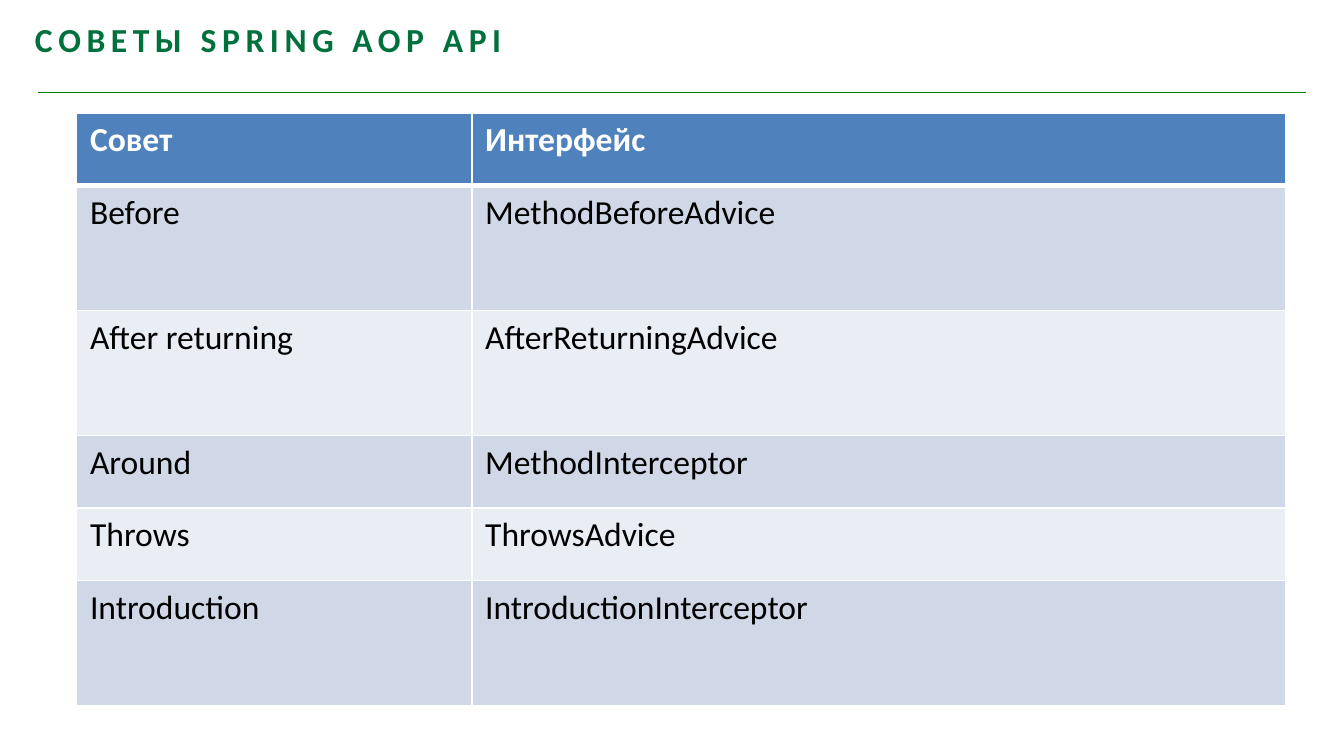
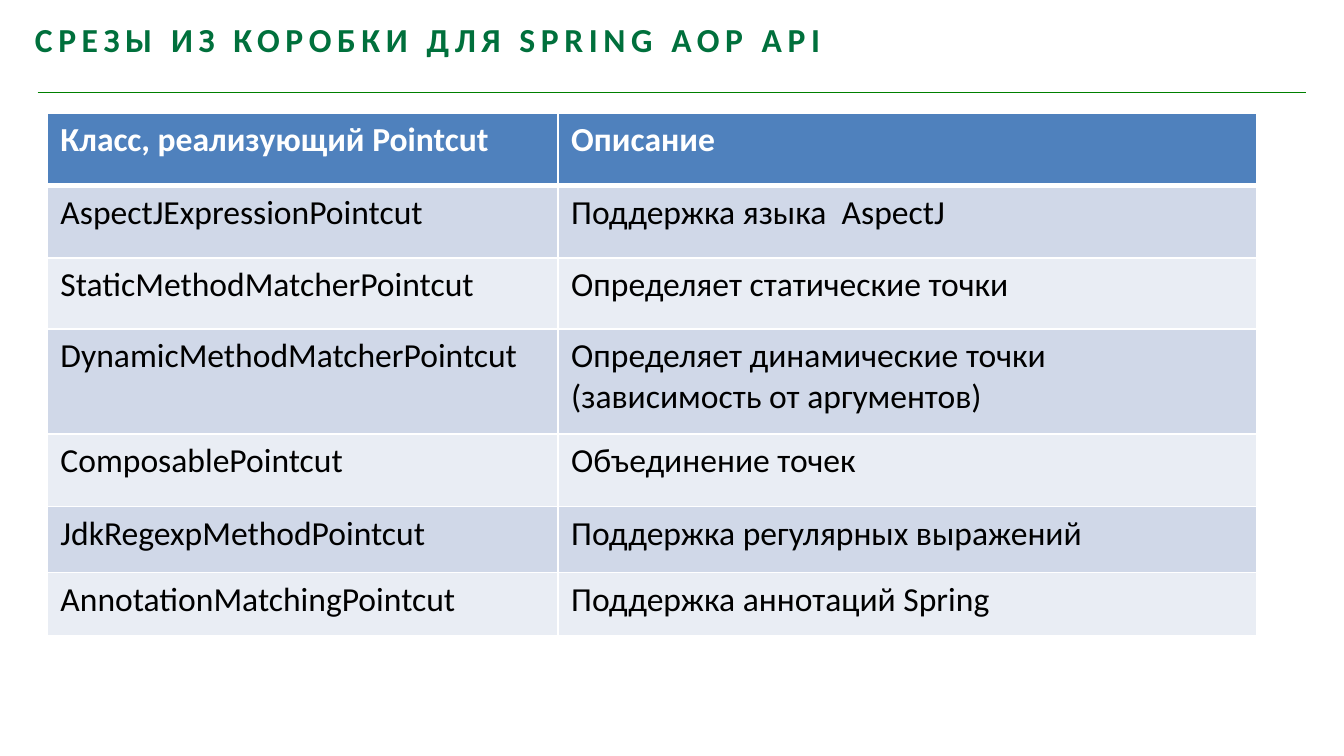
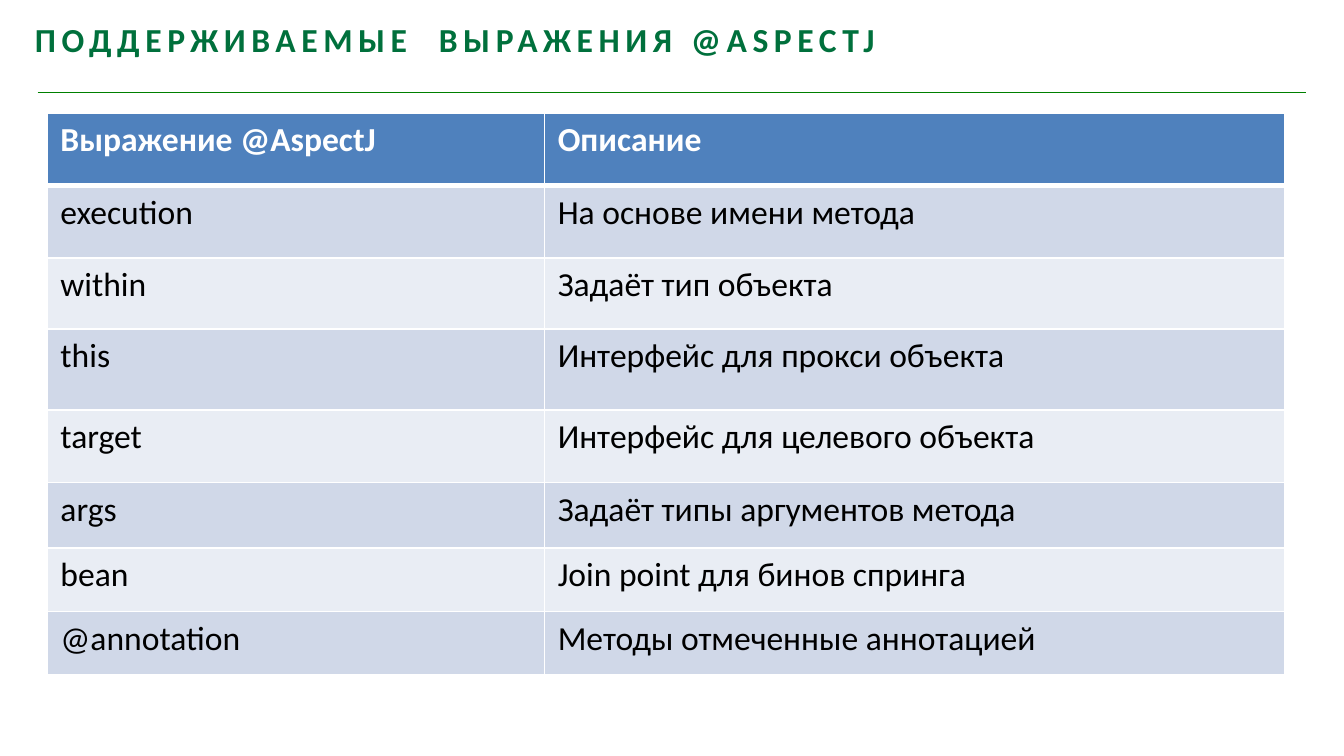
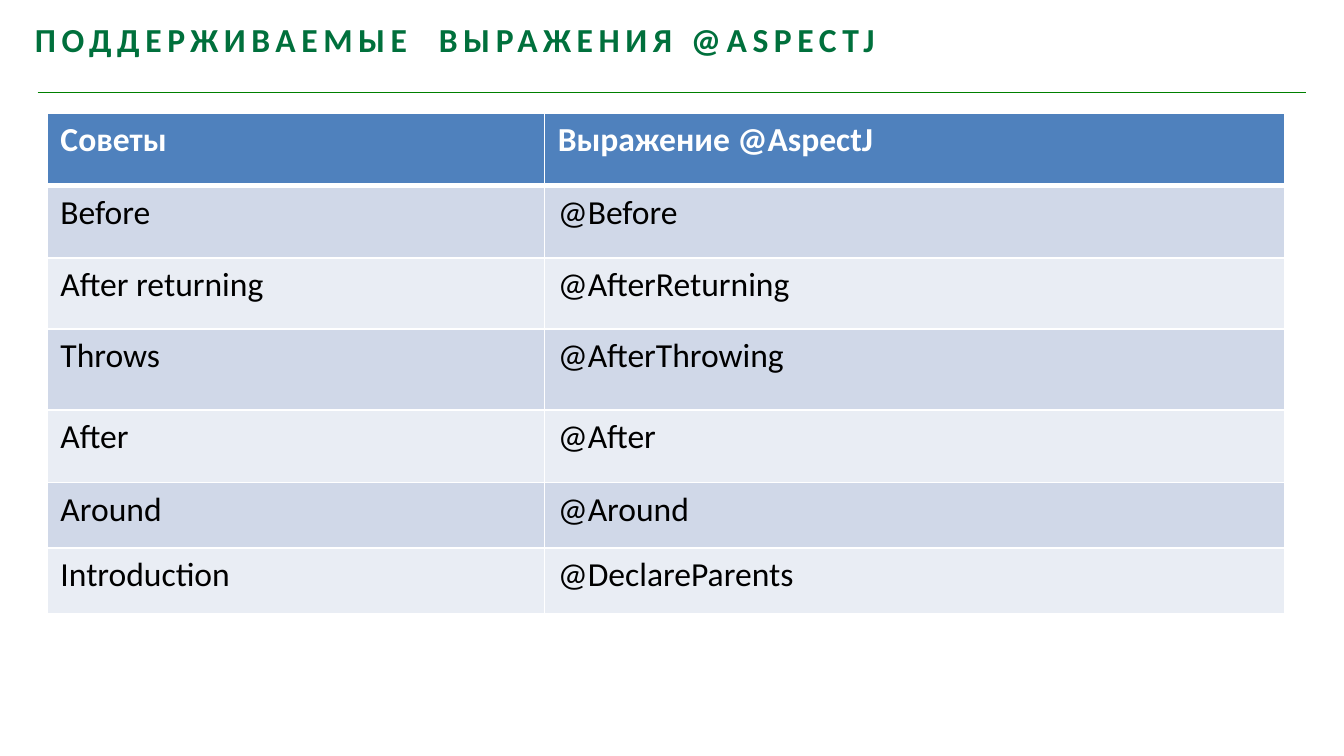
from lxml.etree import SubElement
from pptx import Presentation
from pptx.dml.color import RGBColor
from pptx.enum.shapes import MSO_CONNECTOR
from pptx.enum.text import MSO_ANCHOR, MSO_AUTO_SIZE, PP_ALIGN
from pptx.oxml.ns import qn
from pptx.util import Inches, Pt

FONT = "Calibri"
TEXT_SIZE = Pt(18)
COLORS = {
    "title": "00703C",
    "rule": "008000",
    "header": "4F81BD",
    "odd_row": "D0D8E8",
    "even_row": "E9EDF4",
    "header_text": "FFFFFF",
    "text": "000000",
    "border": "FFFFFF",
}
SLIDE_WIDTH = Inches(10)
SLIDE_HEIGHT = SLIDE_WIDTH * 9 // 16
TITLE_BOX = (0.26, 0.09, 8.04, 0.35)
RULE = (0.28, 0.69, 9.72, 0.69)
TABLE_TOP = 0.84

SLIDES = [
    {
        "title": "СОВЕТЫ SPRING AOP API",
        "left": 0.57,
        "columns": [2.94, 6.06],
        "heights": [0.54, 0.93, 0.93, 0.54, 0.54, 0.93],
        "rows": [
            ("Совет", "Интерфейс"),
            ("Before", "MethodBeforeAdvice"),
            ("After returning", "AfterReturningAdvice"),
            ("Around", "MethodInterceptor"),
            ("Throws", "ThrowsAdvice"),
            ("Introduction", "IntroductionInterceptor"),
        ],
    },
    {
        "title": "СРЕЗЫ ИЗ КОРОБКИ ДЛЯ SPRING AOP API",
        "left": 0.35,
        "columns": [3.8, 5.2],
        "heights": [0.54, 0.54, 0.53, 0.78, 0.54, 0.49, 0.47],
        "rows": [
            ("Класс, реализующий Pointcut", "Описание"),
            ("AspectJExpressionPointcut", "Поддержка языка  AspectJ"),
            ("StaticMethodMatcherPointcut", "Определяет статические точки"),
            ("DynamicMethodMatcherPointcut",
             "Определяет динамические точки (зависимость от аргументов)"),
            ("ComposablePointcut", "Объединение точек"),
            ("JdkRegexpMethodPointcut", "Поддержка регулярных выражений"),
            ("AnnotationMatchingPointcut", "Поддержка аннотаций Spring"),
        ],
    },
    {
        "title": "ПОДДЕРЖИВАЕМЫЕ  ВЫРАЖЕНИЯ @ASPECTJ",
        "left": 0.35,
        "columns": [3.7, 5.51],
        "heights": [0.54, 0.54, 0.53, 0.6, 0.54, 0.49, 0.47, 0.47],
        "rows": [
            ("Выражение @AspectJ", "Описание"),
            ("execution", "На основе имени метода"),
            ("within", "Задаёт тип объекта"),
            ("this", "Интерфейс для прокси объекта"),
            ("target", "Интерфейс для целевого объекта"),
            ("args", "Задаёт типы аргументов метода"),
            ("bean", "Join point для бинов спринга"),
            ("@annotation", "Методы отмеченные аннотацией"),
        ],
    },
    {
        "title": "ПОДДЕРЖИВАЕМЫЕ  ВЫРАЖЕНИЯ @ASPECTJ",
        "left": 0.35,
        "columns": [3.7, 5.51],
        "heights": [0.54, 0.54, 0.53, 0.6, 0.54, 0.49, 0.49],
        "rows": [
            ("Советы", "Выражение @AspectJ"),
            ("Before", "@Before"),
            ("After returning", "@AfterReturning"),
            ("Throws", "@AfterThrowing"),
            ("After", "@After"),
            ("Around", "@Around"),
            ("Introduction", "@DeclareParents"),
        ],
    },
]


def color(name):
    return RGBColor.from_string(COLORS[name])


def format_text(paragraph, color_name, bold):
    for span in paragraph.runs:
        span.font.name = FONT
        span.font.size = TEXT_SIZE
        span.font.bold = bold
        span.font.color.rgb = color(color_name)


def add_rule(page):
    rule = page.shapes.add_connector(MSO_CONNECTOR.STRAIGHT, *map(Inches, RULE))
    rule.line.color.rgb = color("rule")
    rule.line.width = Pt(0.75)
    SubElement(rule._element.spPr, qn("a:effectLst"))


def set_title(page, text):
    title = page.shapes.title
    title.left, title.top, title.width, title.height = map(Inches, TITLE_BOX)
    frame = title.text_frame
    frame.text = text
    frame.word_wrap = True
    frame.auto_size = MSO_AUTO_SIZE.SHAPE_TO_FIT_TEXT
    frame.vertical_anchor = MSO_ANCHOR.TOP
    frame.margin_left = frame.margin_bottom = 0
    frame.margin_top, frame.margin_right = Inches(0.05), Inches(0.1)
    paragraph = frame.paragraphs[0]
    paragraph.alignment = PP_ALIGN.LEFT
    paragraph.space_before = Pt(0)
    format_text(paragraph, "title", True)
    for span in paragraph.runs:
        span._r.get_or_add_rPr().set("spc", "300")


def set_borders(cell, row):
    """Draw thin borders, with a thick one between the header and the body."""
    widths = {
        "lnL": 1,
        "lnR": 1,
        "lnT": 3 if row == 1 else 1,
        "lnB": 3 if row == 0 else 1,
    }
    properties = cell._tc.get_or_add_tcPr()
    for side, width in widths.items():
        border = SubElement(properties, qn(f"a:{side}"), w=str(Pt(width)))
        fill = SubElement(border, qn("a:solidFill"))
        SubElement(fill, qn("a:srgbClr"), val=COLORS["border"])


def format_cell(cell, row):
    is_header = row == 0
    if is_header:
        fill_name = "header"
    else:
        fill_name = "odd_row" if row % 2 else "even_row"
    set_borders(cell, row)
    cell.fill.solid()
    cell.fill.fore_color.rgb = color(fill_name)
    format_text(cell.text_frame.paragraphs[0],
                "header_text" if is_header else "text", is_header)


def add_summary_table(page, left, top, columns, heights, rows):
    box = page.shapes.add_table(
        len(rows), len(columns), Inches(left), Inches(top),
        Inches(sum(columns)), Inches(sum(heights)))
    table = box.table
    for column, width in zip(table.columns, columns):
        column.width = Inches(width)
    for row, (height, texts) in enumerate(zip(heights, rows)):
        table.rows[row].height = Inches(height)
        for column, text in enumerate(texts):
            cell = table.cell(row, column)
            cell.text_frame.text = text
            format_cell(cell, row)


def add_table_slide(deck, content):
    title_only = deck.slide_layouts[5]
    page = deck.slides.add_slide(title_only)
    add_rule(page)
    set_title(page, content["title"])
    add_summary_table(page, content["left"], TABLE_TOP, content["columns"],
                      content["heights"], content["rows"])


def main():
    deck = Presentation()
    deck.slide_width, deck.slide_height = SLIDE_WIDTH, SLIDE_HEIGHT
    for content in SLIDES:
        add_table_slide(deck, content)
    deck.save("out.pptx")


if __name__ == "__main__":
    main()
